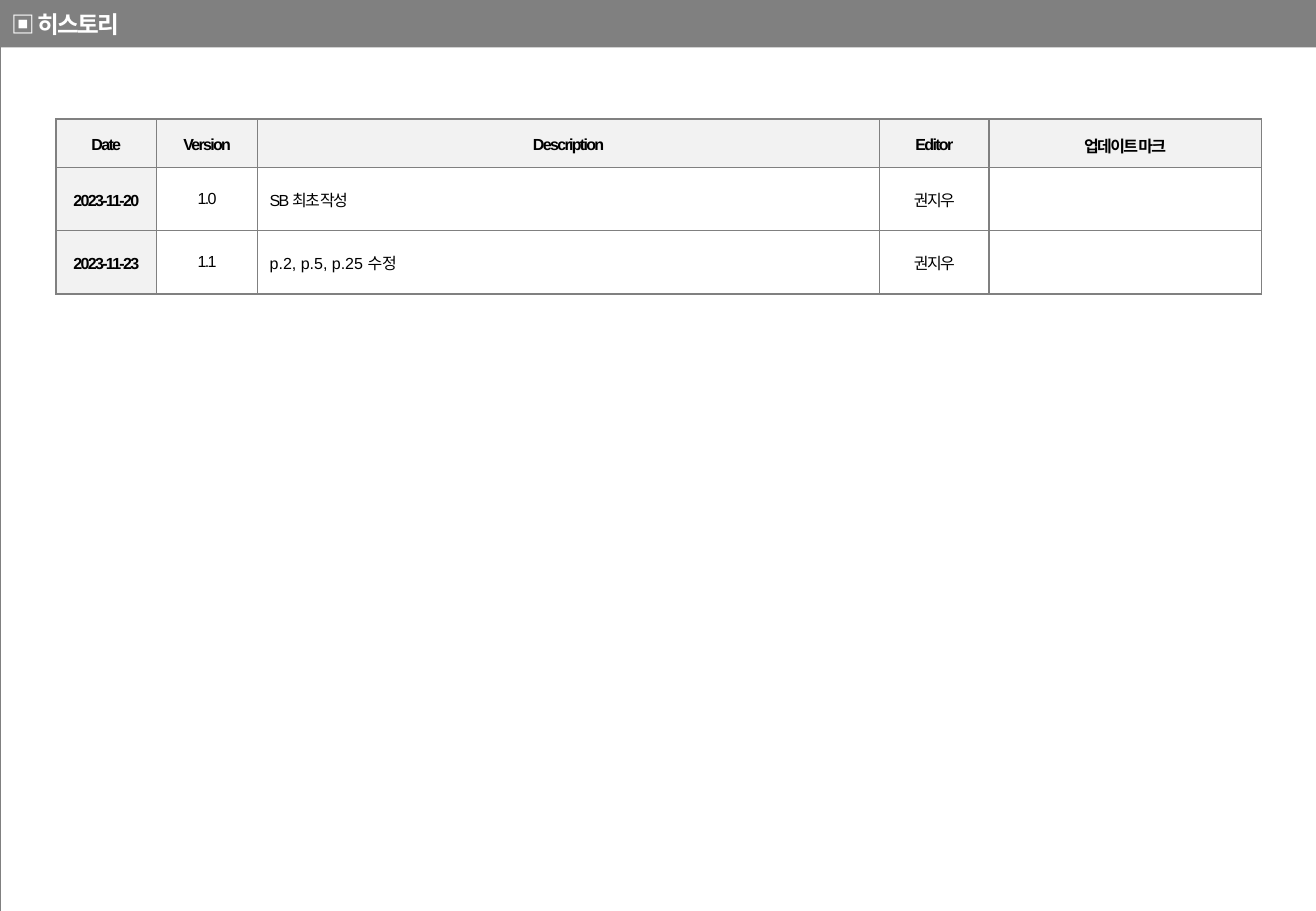
import pptx
import pptx.dml.color
import pptx.enum.shapes
import pptx.enum.text
import pptx.oxml
import pptx.oxml.ns
import pptx.util
from dataclasses import dataclass

EMU_PER_PX = 9144
SLIDE_WIDTH, SLIDE_HEIGHT = 1083, 750
CENTER = pptx.enum.text.PP_ALIGN.CENTER
LEFT = pptx.enum.text.PP_ALIGN.LEFT
MIDDLE = pptx.enum.text.MSO_ANCHOR.MIDDLE


@dataclass(frozen=True)
class Theme:
    gray: str = "808080"
    header_fill: str = "F2F2F2"
    white: str = "FFFFFF"
    black: str = "000000"
    latin_font: str = "Arial"
    korean_font: str = "Noto Sans CJK KR"
    title_size: float = 14
    table_size: float = 9.5
    tight_spacing: int = -100


THEME = Theme()
HISTORY_COLUMNS = [83, 83, 512, 90, 224]
HISTORY_ROWS = [40, 52, 52]
HISTORY = [
    ["Date", "Version", "Description", "Editor", "업데이트 마크"],
    ["2023-11-20", "1.0", "SB 최초 작성", "권지우", ""],
    ["2023-11-23", "1.1", "p.2, p.5, p.25 수정", "권지우", ""],
]


def px(length):
    return pptx.util.Emu(length * EMU_PER_PX)


def rgb(color):
    return pptx.dml.color.RGBColor.from_string(color)


def set_attributes(target, values):
    for name, value in values.items():
        setattr(target, name, value)


def write_text(paragraph, text, color, spacing, paragraph_format, font_format):
    set_attributes(paragraph, paragraph_format)
    run = paragraph.add_run()
    run.text = text
    run.font.color.rgb = rgb(color)
    set_attributes(run.font, font_format)
    properties = run._r.get_or_add_rPr()
    properties.set("spc", str(spacing))
    properties.append(pptx.oxml.parse_xml(
        f'<a:ea {pptx.oxml.ns.nsdecls("a")} typeface="{THEME.korean_font}"/>'))


def set_borders(cell, points):
    properties = cell._tc.get_or_add_tcPr()
    for index, side in enumerate("LRTB"):
        properties.insert(index, pptx.oxml.parse_xml(
            f'<a:ln{side} {pptx.oxml.ns.nsdecls("a")} w="{pptx.util.Pt(points)}">'
            f'<a:solidFill><a:srgbClr val="{THEME.gray}"/></a:solidFill></a:ln{side}>'))


def add_grid(slide, left, top, columns, rows, border):
    table = slide.shapes.add_table(
        len(rows), len(columns), px(left), px(top), px(sum(columns)), px(sum(rows))).table
    set_attributes(table, {"first_row": False, "horz_banding": False})
    for column, width in zip(table.columns, columns):
        column.width = px(width)
    for row, height in zip(table.rows, rows):
        row.height = px(height)
    for cell in table.iter_cells():
        cell.fill.background()
        set_borders(cell, border)
    return table


def add_title_bar(slide, text):
    shape = slide.shapes.add_shape(
        pptx.enum.shapes.MSO_SHAPE.RECTANGLE, 0, 0, px(SLIDE_WIDTH), px(39))
    shape.shadow.inherit = False
    shape.fill.solid()
    shape.fill.fore_color.rgb = rgb(THEME.gray)
    shape.line.fill.background()
    shape.text_frame.vertical_anchor = MIDDLE
    write_text(shape.text_frame.paragraphs[0], text, THEME.white, THEME.tight_spacing,
               {"alignment": LEFT},
               {"name": THEME.korean_font, "size": pptx.util.Pt(THEME.title_size), "bold": True})


def fill_history_cell(cell, text, is_heading, is_description):
    cell.fill.solid()
    cell.fill.fore_color.rgb = rgb(THEME.header_fill if is_heading else THEME.white)
    set_attributes(cell, {
        "vertical_anchor": MIDDLE,
        "margin_left": px(10), "margin_right": px(10),
        "margin_top": px(5), "margin_bottom": px(5 if is_heading else 8)})
    if text:
        write_text(cell.text_frame.paragraphs[0], text, THEME.black,
                   0 if text.startswith("p.") else THEME.tight_spacing,
                   {"alignment": LEFT if is_description else CENTER, "line_spacing": 1.2},
                   {"name": THEME.latin_font, "size": pptx.util.Pt(THEME.table_size),
                    "bold": is_heading})


def add_history_table(slide):
    table = add_grid(slide, 46, 98, HISTORY_COLUMNS, HISTORY_ROWS, 1)
    for row, texts in enumerate(HISTORY):
        for column, text in enumerate(texts):
            fill_history_cell(table.cell(row, column), text,
                              row == 0 or column == 0, row > 0 and column == 2)


def main():
    presentation = pptx.Presentation()
    set_attributes(presentation, {
        "slide_width": px(SLIDE_WIDTH), "slide_height": px(SLIDE_HEIGHT)})
    slide = presentation.slides.add_slide(presentation.slide_layouts[6])
    add_grid(slide, 0, 0, [SLIDE_WIDTH + 1], [SLIDE_HEIGHT + 1], 0.25)
    add_title_bar(slide, "▣ 히스토리")
    add_history_table(slide)
    presentation.save("out.pptx")


if __name__ == "__main__":
    main()
